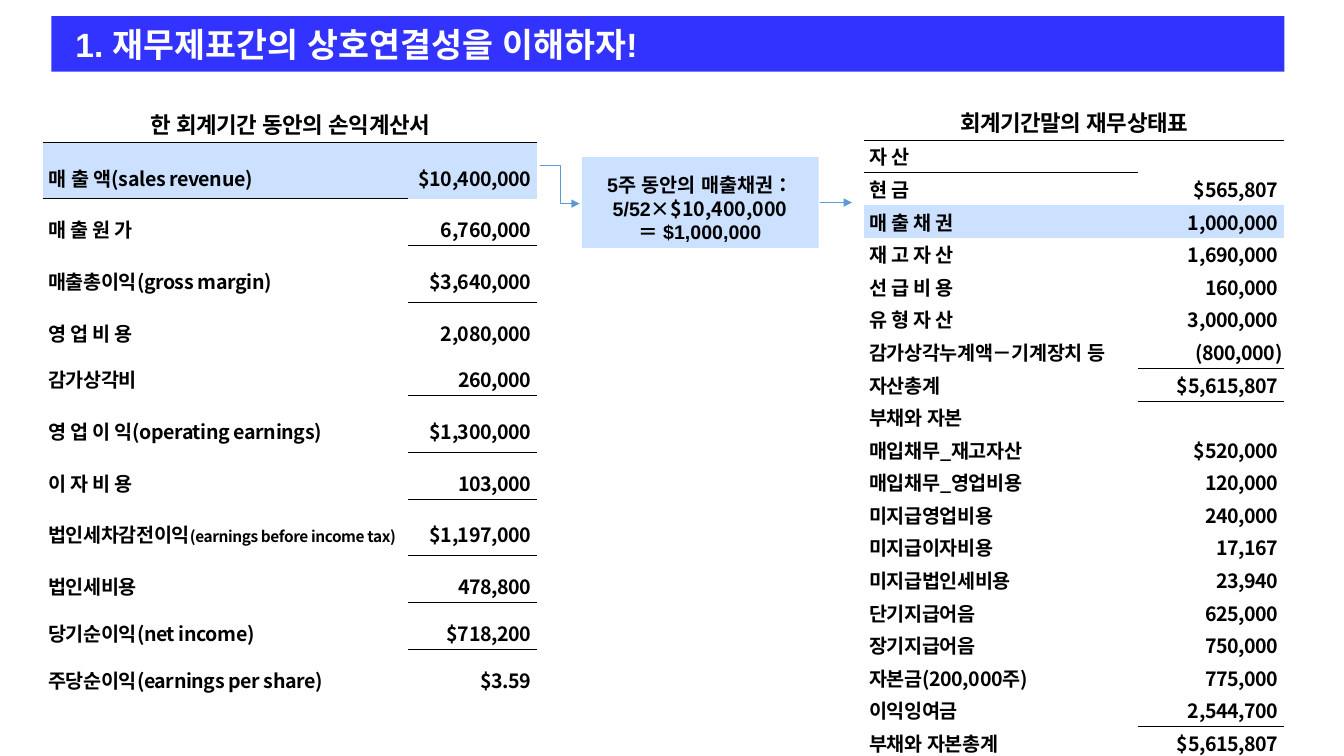
import pptx
import pptx.dml.color
import pptx.enum.lang
import pptx.enum.shapes
import pptx.enum.text
import pptx.oxml
import pptx.oxml.ns
import pptx.util
from lxml import etree

Inches, Pt = pptx.util.Inches, pptx.util.Pt
RGBColor = pptx.dml.color.RGBColor
Align = pptx.enum.text.PP_ALIGN
Anchor = pptx.enum.text.MSO_ANCHOR
Connector = pptx.enum.shapes.MSO_CONNECTOR
qn = pptx.oxml.ns.qn

# Content: label ("|" ends its widely spaced part), amount, rule below the amount
TITLE = "1. 재무제표간의 상호연결성을 이해하자!"
INCOME_TITLE = "한 회계기간 동안의 손익계산서"
INCOME_ROWS = [
    ("매 출 액(sales revenue)", "$10,400,000", False),
    ("매출원|가", "6,760,000", True),
    ("매출총이익(gross margin)", "$3,640,000", False),
    ("영업비|용", "2,080,000", False),
    ("감가상각비", "260,000", True),
    ("영업이|익(operating earnings)", "$1,300,000", False),
    ("이자비|용", "103,000", True),
    ("법인세차감전이익(earnings before income tax)", "$1,197,000", False),
    ("법인세비용", "478,800", True),
    ("당기순이익(net income)", "$718,200", False),
    ("주당순이익(earnings per share)", "$3.59", False),
]
SMALL_NOTE = "(earnings before income tax)"
BALANCE_TITLE = "회계기간말의 재무상태표"
BALANCE_ROWS = [
    ("자 산", "", False),
    ("현 금", "$565,807", False),
    ("매출채|권", "1,000,000", False),
    ("재고자|산", "1,690,000", False),
    ("선급비|용", "160,000", False),
    ("유형자|산", "3,000,000", False),
    ("감가상각누계액－기계장치 등", "(800,000)", True),
    ("자산총계", "$5,615,807", False),
    ("부채와 자본", "", False),
    ("매입채무_재고자산", "$520,000", False),
    ("매입채무_영업비용", "120,000", False),
    ("미지급영업비용", "240,000", False),
    ("미지급이자비용", "17,167", False),
    ("미지급법인세비용", "23,940", False),
    ("단기지급어음", "625,000", False),
    ("장기지급어음", "750,000", False),
    ("자본금(200,000주)", "775,000", False),
    ("이익잉여금", "2,544,700", True),
    ("부채와 자본총계", "$5,615,807", False),
]
LATIN, KOREAN = "Arial", "Noto Sans CJK KR"
CALLOUT = [
    ([("5주 동안의 매출채권：", LATIN)], 1.5),
    ([("5/52", LATIN), ("×$10,400,000", KOREAN)], None),
    ([("＝ $1,000,000", LATIN)], None),
]

# Look
BLUE = RGBColor(0x33, 0x33, 0xFF)
PALE_BLUE = RGBColor(0xCC, 0xE1, 0xFF)
ARROW_BLUE = RGBColor(0x5B, 0x9B, 0xD5)
BLACK = RGBColor(0, 0, 0)
WHITE = RGBColor(0xFF, 0xFF, 0xFF)
BODY = {"size": Pt(14), "bold": True, "name": KOREAN,
        "language_id": pptx.enum.lang.MSO_LANGUAGE_ID.KOREAN}
TIGHT, WIDE = -0.3, 2.8
NO_GRID_STYLE = "{2D5ABB26-0587-4C30-8999-92F81FD0307C}"
RULE_WIDTH = Pt(0.28)
ARROWS = [
    (Connector.ELBOW, 5.36, 1.64, 5.75, 2.02),
    (Connector.STRAIGHT, 8.13, 2.01, 8.45, 2.01),
]


def apply(target, values):
    for name, value in values.items():
        setattr(target, name, value)


def add_run(paragraph, text, color=BLACK, spacing=None, **changes):
    run = paragraph.add_run()
    run.text = text
    run.font.color.rgb = color
    apply(run.font, {**BODY, **changes})
    properties = run.font._element
    etree.SubElement(properties, qn("a:ea"), typeface=KOREAN)
    if spacing is not None:
        properties.set("spc", str(round(spacing * 100)))


def indent(paragraph, left, first=0):
    properties = paragraph._p.get_or_add_pPr()
    properties.set("marL", str(Inches(left)))
    properties.set("indent", str(Inches(first)))


def add_box(slide, left, top, width, height, color):
    box = slide.shapes.add_shape(
        pptx.enum.shapes.MSO_SHAPE.RECTANGLE,
        Inches(left), Inches(top), Inches(width), Inches(height))
    box.shadow.inherit = False
    box.fill.solid()
    box.fill.fore_color.rgb = color
    box.line.fill.background()
    apply(box.text_frame, {"word_wrap": True, "vertical_anchor": Anchor.MIDDLE})
    return box


def add_rule(cell, edge):
    line = pptx.oxml.parse_xml(
        f'<a:{edge} xmlns:a="http://schemas.openxmlformats.org/drawingml/2006/main" '
        f'w="{RULE_WIDTH}"><a:solidFill><a:srgbClr val="{BLACK}"/></a:solidFill></a:{edge}>')
    cell._tc.get_or_add_tcPr().insert(0, line)


def rule_between(table, row, column):
    add_rule(table.cell(row, column), "lnB")
    add_rule(table.cell(row + 1, column), "lnT")


def add_label(paragraph, label):
    wide, _, rest = label.rpartition("|")
    main, note, _ = rest.partition(SMALL_NOTE)
    parts = [(wide, WIDE, 14), (main, TIGHT, 14), (note, TIGHT, 11)]
    for text, spacing, size in parts:
        if text:
            add_run(paragraph, text, spacing=spacing, size=Pt(size))


def add_statement(slide, title, rows, place, widths, heights, marked, line_spacing):
    left, top = place
    frame = slide.shapes.add_table(
        len(rows) + 1, 2, Inches(left), Inches(top),
        Inches(sum(widths)), Inches(sum(heights)))
    table = frame.table
    apply(table, {"first_row": False, "horz_banding": False})
    table._tbl.tblPr.find(qn("a:tableStyleId")).text = NO_GRID_STYLE
    for column, width in zip(table.columns, widths):
        column.width = Inches(width)
    for row, height in zip(table.rows, heights):
        row.height = Inches(height)
    for cell in table.iter_cells():
        apply(cell, {"vertical_anchor": Anchor.MIDDLE,
                     **{f"margin_{side}": Inches(0.02)
                        for side in ("left", "right", "top", "bottom")}})

    # Heading
    heading = table.cell(0, 0)
    heading.merge(table.cell(0, 1))
    apply(heading.text_frame.paragraphs[0], {"alignment": Align.CENTER, "line_spacing": 1.5})
    add_run(heading.text_frame.paragraphs[0], title, spacing=TIGHT, size=Pt(16))
    rule_between(table, 0, 0)

    # Accounts
    for number, (label, amount, ruled) in enumerate(rows, 1):
        label_cell, amount_cell = table.cell(number, 0), table.cell(number, 1)
        label_text = label_cell.text_frame.paragraphs[0]
        amount_text = amount_cell.text_frame.paragraphs[0]
        apply(label_text, {"alignment": Align.JUSTIFY, "line_spacing": line_spacing})
        apply(amount_text, {"alignment": Align.RIGHT, "line_spacing": line_spacing})
        indent(label_text, 0.03)
        add_label(label_text, label)
        if amount:
            add_run(amount_text, amount, spacing=TIGHT)
        else:
            amount_text._p.get_or_add_endParaRPr().set("sz", "1400")
        if not amount.endswith(")"):
            amount_cell.margin_right = Inches(0.06)
        if ruled:
            rule_between(table, number, 1)
        if number == marked:
            for cell in (label_cell, amount_cell):
                cell.fill.solid()
                cell.fill.fore_color.rgb = PALE_BLUE


def add_arrow(slide, kind, *ends):
    arrow = slide.shapes.add_connector(kind, *map(Inches, ends))
    arrow.line.color.rgb = ARROW_BLUE
    arrow.line.width = Pt(0.5)
    etree.SubElement(arrow.line._get_or_add_ln(), qn("a:tailEnd"), type="triangle")
    etree.SubElement(arrow._element.spPr, qn("a:effectLst"))


def main():
    presentation = pptx.Presentation()
    apply(presentation, {"slide_width": Inches(13.33), "slide_height": Inches(7.5)})
    slide = presentation.slides.add_slide(presentation.slide_layouts[6])

    # Title bar
    bar = add_box(slide, 0.51, 0.16, 12.23, 0.55, BLUE)
    heading = bar.text_frame.paragraphs[0]
    heading.alignment = Align.JUSTIFY
    indent(heading, 0, 0.14)
    add_run(heading, TITLE, WHITE, size=Pt(24), name=LATIN)

    # Statements
    tall_rows = {1, 3, 6, 8}
    income_heights = [0.56 if row in tall_rows else 0.4 for row in range(len(INCOME_ROWS) + 1)]
    balance_heights = [0.39] + [0.3] * len(BALANCE_ROWS)
    add_statement(slide, INCOME_TITLE, INCOME_ROWS, (0.43, 0.89), (3.62, 1.28),
                  income_heights, 1, 1.5)
    add_statement(slide, BALANCE_TITLE, BALANCE_ROWS, (8.57, 0.87), (2.72, 1.45),
                  balance_heights, 3, None)

    # Link between the statements
    callout = add_box(slide, 5.77, 1.56, 2.35, 0.9, PALE_BLUE).text_frame
    for number, (runs, line_spacing) in enumerate(CALLOUT):
        paragraph = callout.add_paragraph() if number else callout.paragraphs[0]
        apply(paragraph, {"alignment": Align.CENTER, "line_spacing": line_spacing})
        for text, font in runs:
            add_run(paragraph, text, name=font)
    for arrow in ARROWS:
        add_arrow(slide, *arrow)

    presentation.save("out.pptx")


if __name__ == "__main__":
    main()
